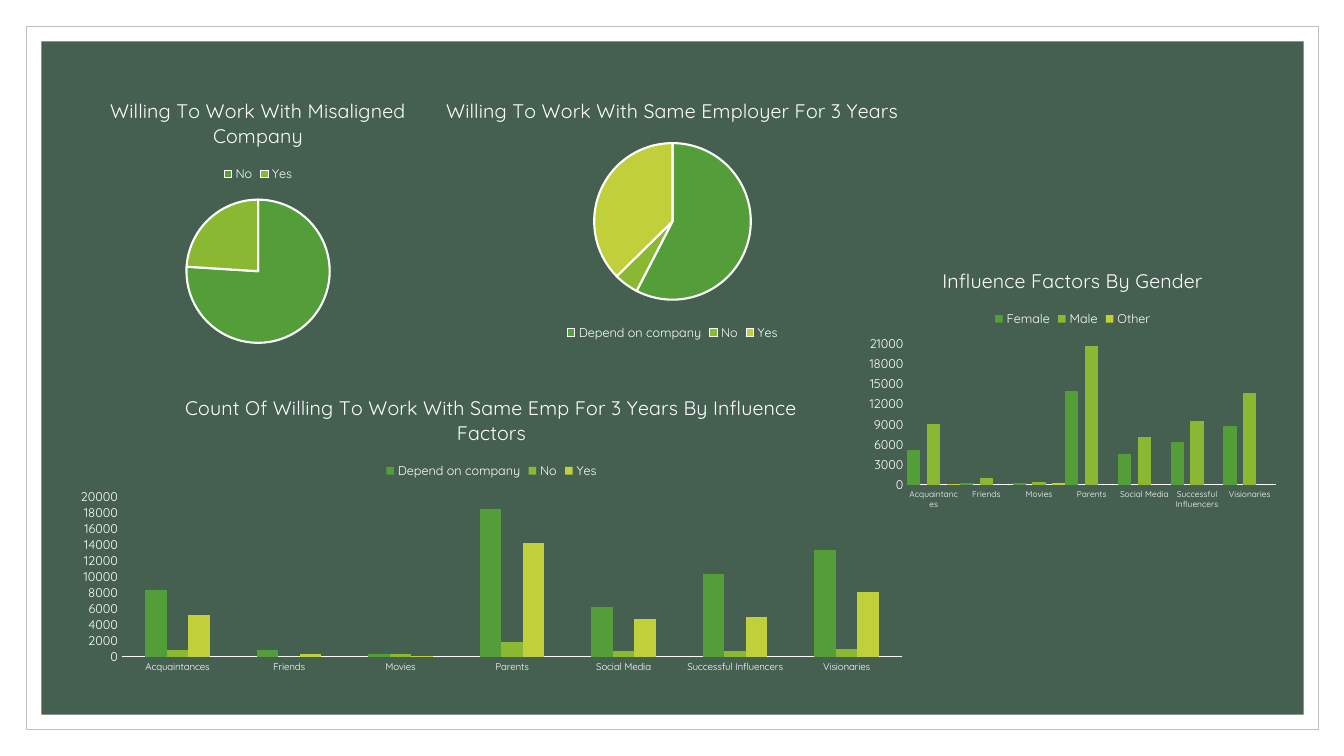
from dataclasses import dataclass

from pptx import Presentation
from pptx.chart.data import CategoryChartData
from pptx.dml.color import RGBColor
from pptx.enum.chart import XL_CHART_TYPE as Kind
from pptx.enum.chart import XL_LEGEND_POSITION as Pos
from pptx.enum.chart import XL_TICK_MARK as Tick
from pptx.enum.shapes import MSO_SHAPE as Shape
from pptx.util import Inches, Pt

# Content
FACTORS = ["Acquaintances", "Friends", "Movies", "Parents", "Social Media",
           "Successful Influencers", "Visionaries"]

PIES = [
    dict(title="Willing To Work With Misaligned Company",
         box=(0.63, 0.81, 3.86, 2.73), legend=Pos.TOP,
         shares={"No": 76, "Yes": 24}),
    dict(title="Willing To Work With Same Employer For 3 Years",
         box=(3.69, 0.81, 5.96, 2.61), legend=Pos.BOTTOM,
         shares={"Depend on company": 57, "No": 5, "Yes": 37}),
]

COLUMNS = [
    dict(title="Count Of Willing To Work With Same Emp For 3 Years By Influence Factors",
         box=(0.63, 3.75, 8.49, 2.98), label_size=7,
         plot=dict(gap_width=219, overlap=0),
         scale=dict(minimum_scale=0, maximum_scale=20000, major_unit=2000),
         series={
             "Depend on company": [8300, 800, 300, 18400, 6200, 10300, 13300],
             "No": [800, 0, 400, 1900, 700, 700, 1000],
             "Yes": [5200, 400, 100, 14200, 4700, 5000, 8100]}),
    dict(title="Influence Factors By Gender",
         box=(8.54, 2.5, 4.2, 2.61), label_size=6,
         plot=dict(gap_width=0, overlap=-50),
         scale=dict(minimum_scale=0, maximum_scale=21000, major_unit=3000),
         series={
             "Female": [5100, 300, 200, 13900, 4600, 6400, 8700],
             "Male": [9100, 1000, 400, 20600, 7100, 9500, 13600],
             "Other": [100, None, 200, None, None, None, 0]}),
]


@dataclass(frozen=True)
class Theme:
    font: str = "Quicksand"
    white: str = "FFFFFF"
    border: str = "BFBFBF"
    panel: str = "455F51"
    accents: tuple = ("549E39", "8AB833", "C0CF3A")
    title: int = 14
    base: int = 10
    small: int = 9


THEME = Theme()
rgb = RGBColor.from_string


def set_attrs(obj, values):
    for name, value in values.items():
        setattr(obj, name, value)


def set_font(font, size):
    set_attrs(font, dict(name=THEME.font, size=Pt(size), bold=False))
    font.color.rgb = rgb(THEME.white)


def set_fill(fmt, color):
    fmt.fill.solid()
    fmt.fill.fore_color.rgb = rgb(color)


def set_line(line, color, width):
    line.color.rgb = rgb(color)
    line.width = Pt(width)


def add_panel(slide, box, color):
    sp = slide.shapes.add_shape(Shape.RECTANGLE, *map(Inches, box))
    sp.shadow.inherit = False
    set_fill(sp, color)
    sp.line.fill.background()
    return sp


def add_chart(slide, kind, item, categories, series, legend):
    data = CategoryChartData()
    data.categories = categories
    for name, values in series.items():
        data.add_series(name, values)
    chart = slide.shapes.add_chart(kind, *map(Inches, item["box"]), data).chart
    set_font(chart.font, THEME.base)
    # Title
    p = chart.chart_title.text_frame.paragraphs[0]
    r = p.add_run()
    r.text = item["title"]
    set_font(r.font, THEME.title)
    chart.chart_title.include_in_layout = False
    # Legend
    chart.has_legend = True
    set_attrs(chart.legend, dict(position=legend, include_in_layout=False))
    set_font(chart.legend.font, THEME.small)
    return chart


def add_pie(slide, item):
    shares = item["shares"]
    chart = add_chart(slide, Kind.PIE, item, list(shares),
                      {"Series 1": list(shares.values())}, item["legend"])
    chart.plots[0].vary_by_categories = True
    points = chart.plots[0].series[0].points
    for i, color in enumerate(THEME.accents[:len(shares)]):
        fmt = points[i].format
        set_fill(fmt, color)
        set_line(fmt.line, THEME.white, 1.5)


def add_columns(slide, item):
    chart = add_chart(slide, Kind.COLUMN_CLUSTERED, item, FACTORS,
                      item["series"], Pos.TOP)
    plot = chart.plots[0]
    set_attrs(plot, dict(vary_by_categories=False, **item["plot"]))
    for s, color in zip(plot.series, THEME.accents):
        set_fill(s.format, color)
        s.invert_if_negative = False
    # Axes
    cat, val = chart.category_axis, chart.value_axis
    for axis, size in ((cat, item["label_size"]), (val, THEME.small)):
        set_attrs(axis, dict(has_major_gridlines=False,
                             major_tick_mark=Tick.NONE,
                             minor_tick_mark=Tick.NONE))
        set_font(axis.tick_labels.font, size)
    set_line(cat.format.line, THEME.white, 0.75)
    val.format.line.fill.background()
    set_attrs(val, item["scale"])


def main():
    prs = Presentation()
    prs.slide_width, prs.slide_height = Inches(13.33), Inches(7.5)
    slide = prs.slides.add_slide(prs.slide_layouts[6])

    # Framed background
    frame = add_panel(slide, (0.26, 0.26, 12.82, 6.98), THEME.white)
    set_line(frame.line, THEME.border, 0.5)
    add_panel(slide, (0.41, 0.41, 12.52, 6.68), THEME.panel)

    # Charts
    for item in PIES:
        add_pie(slide, item)
    for item in COLUMNS:
        add_columns(slide, item)

    prs.save("out.pptx")


if __name__ == "__main__":
    main()
